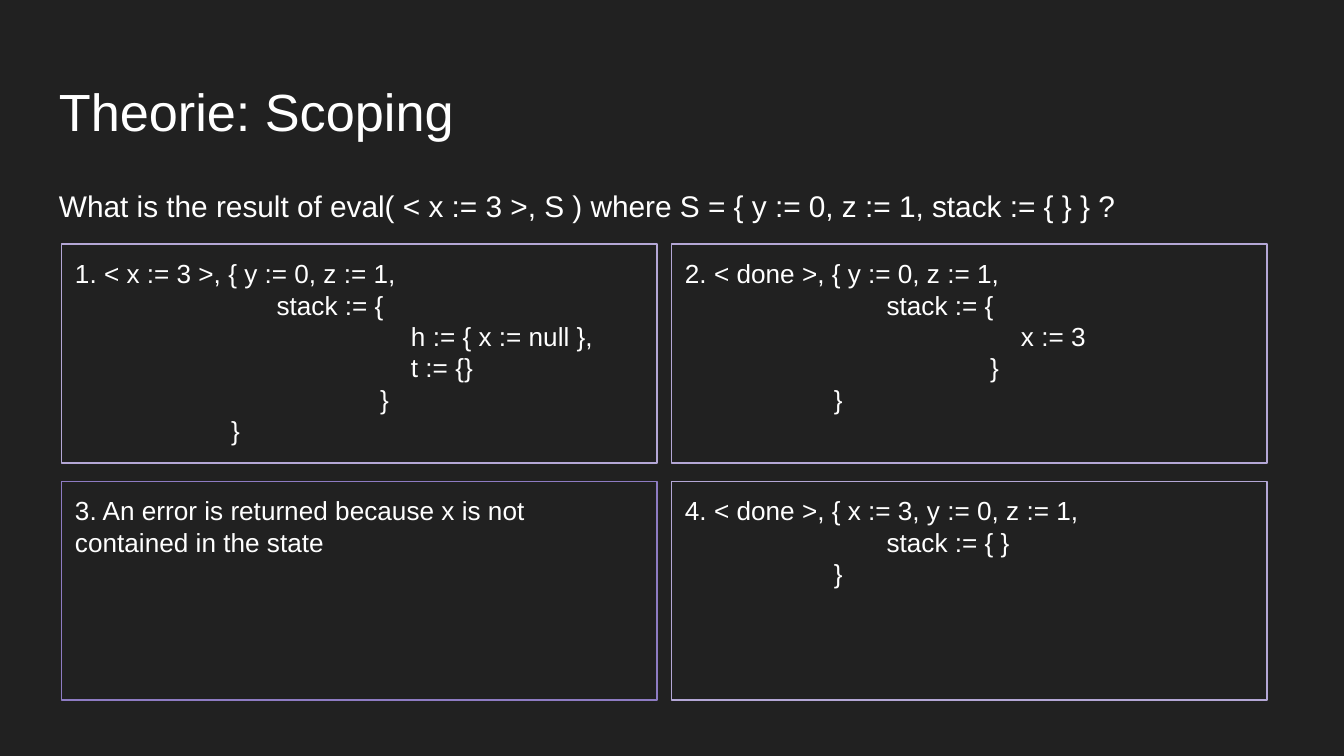
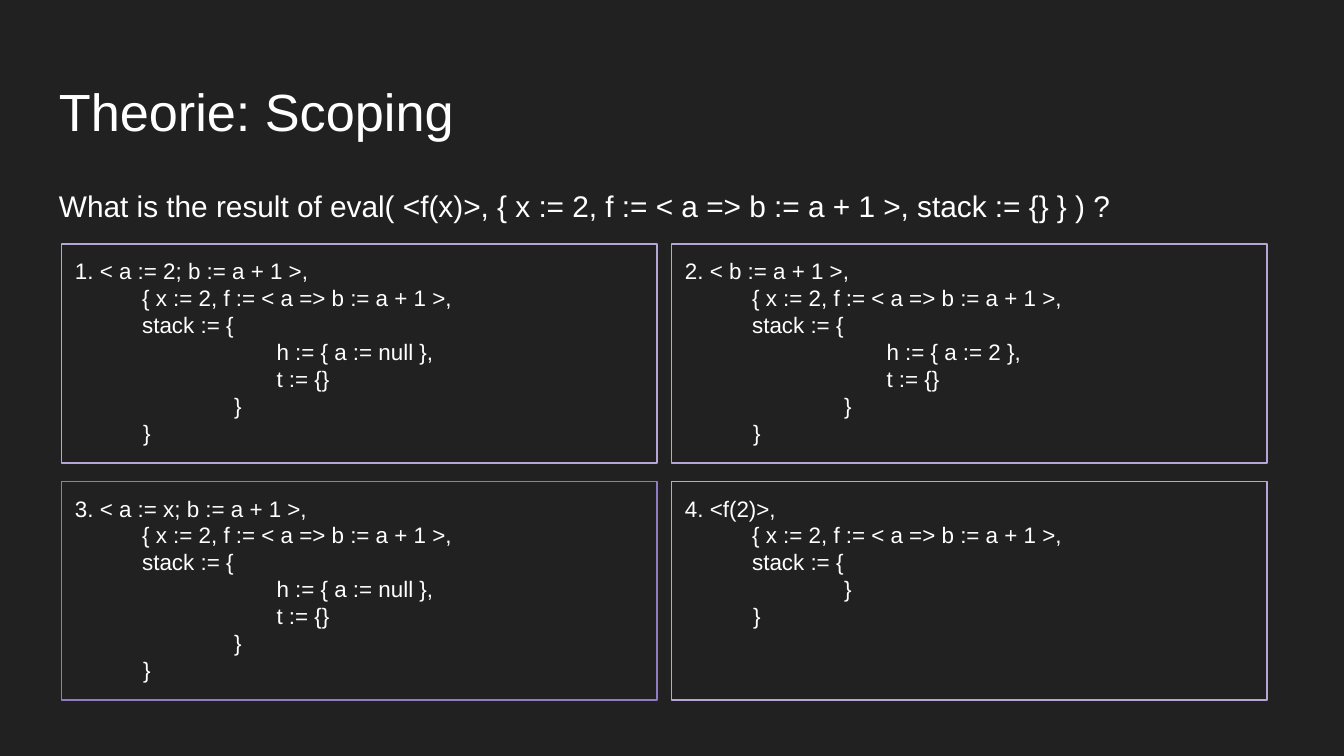
from dataclasses import dataclass

from pptx import Presentation
from pptx.dml.color import RGBColor as Rgb
from pptx.enum.shapes import MSO_SHAPE as Shape
from pptx.enum.text import MSO_ANCHOR as Anchor, PP_ALIGN as Align
from pptx.util import Pt

COLORS = {"back": "212121", "text": "FFFFFF", "light": "B4A7D6", "dark": "8E7CC3"}
FONT = "Arial"
TITLE = "Theorie: Scoping"
INSET = 7.2
LEFT, TOP = 33.1, 130.8          # first answer box
WIDTH, HEIGHT = 319, 117.2
STEP_X, STEP_Y = 326.8, 127
EDGES = ("light", "light", "dark", "light")


@dataclass
class Line:
    """One line of an answer, with its indent in points."""
    text: str
    indent: float = 0


@dataclass
class Quiz:
    """A question with four answers in reading order."""
    ask: str
    size: int
    answers: list[list[Line]]


def color(name: str) -> Rgb:
    """Look up a colour by its name."""
    return Rgb.from_string(COLORS[name])


def write(shape, lines: list[Line], size: int, spacing: float = 1) -> None:
    """Fill a shape with left-aligned lines of white text."""
    frame = shape.text_frame
    frame.word_wrap = True
    frame.vertical_anchor = Anchor.TOP
    frame.margin_left = frame.margin_right = Pt(INSET)
    frame.margin_top = frame.margin_bottom = Pt(INSET)
    for i, line in enumerate(lines):
        para = frame.paragraphs[0] if i == 0 else frame.add_paragraph()
        para.text = line.text
        para.alignment = Align.LEFT
        para.line_spacing = spacing
        para.font.name, para.font.size = FONT, Pt(size)
        para.font.color.rgb = color("text")
        if line.indent:
            props = para._p.get_or_add_pPr()
            props.set("marL", str(Pt(line.indent)))
            props.set("indent", "0")


def label(slide, text: str, top: float, height: float, size: int,
          spacing: float = 1) -> None:
    """Add a text box across the slide."""
    box = slide.shapes.add_textbox(Pt(24.5), Pt(top), Pt(671), Pt(height))
    write(box, [Line(text)], size, spacing)


def answer(slide, index: int, lines: list[Line], size: int) -> None:
    """Add one outlined answer box at its place in the 2 by 2 grid."""
    row, col = divmod(index, 2)
    box = slide.shapes.add_shape(
        Shape.RECTANGLE, Pt(LEFT + col * STEP_X), Pt(TOP + row * STEP_Y),
        Pt(WIDTH), Pt(HEIGHT))
    box.shadow.inherit = False
    box.fill.background()
    box.line.color.rgb = color(EDGES[index])
    box.line.width = Pt(0.75)
    write(box, lines, size)


def draw(deck, quiz: Quiz) -> None:
    """Add a slide with title, question and answers."""
    slide = deck.slides.add_slide(deck.slide_layouts[6])
    slide.background.fill.solid()
    slide.background.fill.fore_color.rgb = color("back")
    label(slide, TITLE, 35.2, 45.1, 28)
    label(slide, quiz.ask, 90.7, 269, 16, 1.15)
    for index, lines in enumerate(quiz.answers):
        answer(slide, index, lines, quiz.size)


def call(head: str, value: str = "") -> list[Line]:
    """Lay out a call result, with a stack frame if a value is given."""
    inner = [Line(f"h := {{ a := {value} }},", 108), Line("t := {}", 108)]
    return [Line(head), Line("{ x := 2, f := < a => b := a + 1 >,", 36),
            Line("stack := {", 36), *(inner if value else []),
            Line("}", 85.3), Line("}", 36.5)]


QUIZZES = [
    Quiz("What is the result of eval( < x := 3 >, S ) where "
         "S = { y := 0, z := 1, stack := { } } ?", 14, [
             [Line("1. < x := 3 >, { y := 0, z := 1,"), Line("stack := {", 108),
              Line("h := { x := null },", 180), Line("t := {}", 180),
              Line("}", 163.5), Line("}", 83.7)],
             [Line("2. < done >, { y := 0, z := 1,"), Line("stack := {", 108),
              Line("x := 3", 180), Line("}", 163.5), Line("}", 79.8)],
             [Line("3. An error is returned because x is not "
                   "contained in the state")],
             [Line("4. < done >, { x := 3, y := 0, z := 1,"),
              Line("stack := { }", 108), Line("}", 79.8)],
         ]),
    Quiz("What is the result of eval( <f(x)>, "
         "{ x := 2, f := < a => b := a + 1 >, stack := {} } ) ?", 12, [
             call("1. < a := 2; b := a + 1 >,", "null"),
             call("2. < b := a + 1 >,", "2"),
             call("3. < a := x; b := a + 1 >,", "null"),
             call("4. <f(2)>,"),
         ]),
]


def main() -> None:
    """Build and save the deck."""
    deck = Presentation()
    deck.slide_width, deck.slide_height = Pt(720), Pt(405)
    for quiz in QUIZZES:
        draw(deck, quiz)
    deck.save("out.pptx")


main()
